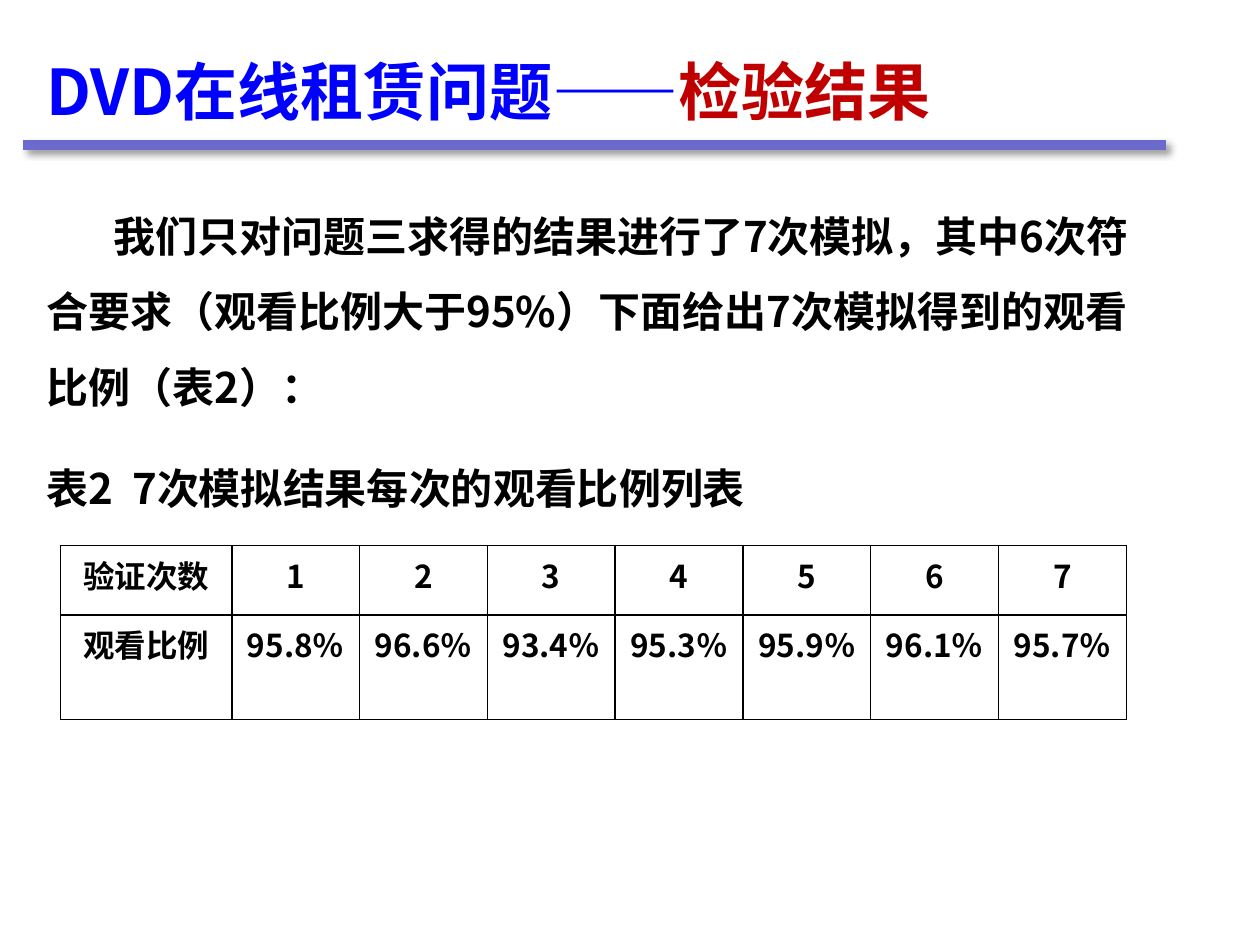
"""Build the DVD rental verification slide with its results table."""
from lxml import etree
from pptx import Presentation
from pptx import util as u
from pptx.dml.color import RGBColor
from pptx.enum import shapes, text
from pptx.oxml import parse_xml
from pptx.oxml.ns import nsdecls, qn

COLORS = {"title": "0000FF", "accent": "C00000", "rule": "6B6BCE", "ink": "000000"}
RATES = ["95.8", "96.6", "93.4", "95.3", "95.9", "96.1", "95.7"]


class SlideBuilder:
    """Hold the text style and the current slide."""

    font = "Noto Sans CJK SC"

    def __init__(self, prs):
        self.s = prs.slides.add_slide(prs.slide_layouts[5])

    def run(self, p, words, size, color="ink"):
        r = p.add_run()
        r.text = words
        r.font.size = u.Pt(size)
        r.font.bold = True
        r.font.color.rgb = RGBColor.from_string(COLORS[color])
        r.font.name = self.font
        etree.SubElement(r.font._element, qn("a:ea")).set("typeface", self.font)

    def indent(self, p, first, left=0):
        pPr = p._p.get_or_add_pPr()
        pPr.set("marL", str(u.Inches(left)))
        pPr.set("indent", str(u.Inches(first)))

    def title(self, box, runs):
        sp = self.s.shapes.title
        sp.left, sp.top, sp.width, sp.height = map(u.Inches, box)
        tf = sp.text_frame
        tf.word_wrap = False
        tf.auto_size = text.MSO_AUTO_SIZE.SHAPE_TO_FIT_TEXT
        tf.vertical_anchor = text.MSO_ANCHOR.TOP
        p = tf.paragraphs[0]
        p.alignment = text.PP_ALIGN.LEFT
        for words, color in runs:
            self.run(p, words, 36, color)

    def rule(self, x1, x2, y):
        sp = self.s.shapes.add_connector(
            shapes.MSO_CONNECTOR.STRAIGHT, *map(u.Inches, (x1, y, x2, y)))
        sp.line.color.rgb = RGBColor.from_string(COLORS["rule"])
        sp.line.width = u.Pt(6)
        sp._element.spPr.append(parse_xml(
            f'<a:effectLst {nsdecls("a")}><a:outerShdw blurRad="{u.Pt(4)}" '
            f'dist="{u.Pt(3)}" dir="2700000" algn="tl" rotWithShape="0">'
            f'<a:srgbClr val="{COLORS["ink"]}"><a:alpha val="40000"/></a:srgbClr>'
            '</a:outerShdw></a:effectLst>'))

    def body(self, box, paragraphs):
        tf = self.s.shapes.add_textbox(*map(u.Inches, box)).text_frame
        tf.word_wrap = True
        for i, (words, spacing, first) in enumerate(paragraphs):
            p = tf.add_paragraph() if i else tf.paragraphs[0]
            p.line_spacing = spacing
            self.indent(p, first)
            self.run(p, words, 24)

    def border(self, cell):
        tcPr = cell._tc.get_or_add_tcPr()
        for side in "LRTB":
            tcPr.append(parse_xml(
                f'<a:ln{side} {nsdecls("a")} w="{u.Pt(1)}"><a:solidFill>'
                f'<a:srgbClr val="{COLORS["ink"]}"/></a:solidFill></a:ln{side}>'))

    def table(self, left, top, width, heights, rows, label_width):
        count = len(rows[0])
        box = map(u.Inches, (left, top, width, sum(heights)))
        tbl = self.s.shapes.add_table(len(rows), count, *box).table
        tbl.first_row = tbl.horz_banding = False
        for c, col in enumerate(tbl.columns):
            col.width = u.Inches((width - label_width) / (count - 1) if c else label_width)
        for r, row in enumerate(rows):
            tbl.rows[r].height = u.Inches(heights[r])
            for c, words in enumerate(row):
                cell = tbl.cell(r, c)
                self.border(cell)
                cell.fill.background()
                p = cell.text_frame.paragraphs[0]
                p.alignment = text.PP_ALIGN.CENTER
                self.indent(p, -0.38, 0.38)
                self.run(p, words, 18)


def main():
    prs = Presentation()
    prs.slide_width, prs.slide_height = u.Inches(10), u.Inches(7.5)
    b = SlideBuilder(prs)
    b.rule(0.18, 9.25, 1.15)
    b.title((0.27, 0.37, 7.43, 0.71),
            [("DVD在线租赁问题——", "title"), ("检验结果", "accent")])
    b.body((0.27, 1.42, 9, 4.95), [
        ("我们只对问题三求得的结果进行了7次模拟，其中6次符合要求"
         "（观看比例大于95%）下面给出7次模拟得到的观看比例（表2）：", 1.5, 0.53),
        ("表2  7次模拟结果每次的观看比例列表", 2, 0)])
    b.table(0.48, 4.33, 8.46, (0.55, 0.83), [
        ["验证次数"] + [str(n + 1) for n in range(len(RATES))],
        ["观看比例"] + [rate + "％" for rate in RATES]], 1.36)
    prs.save("out.pptx")


if __name__ == "__main__":
    main()
